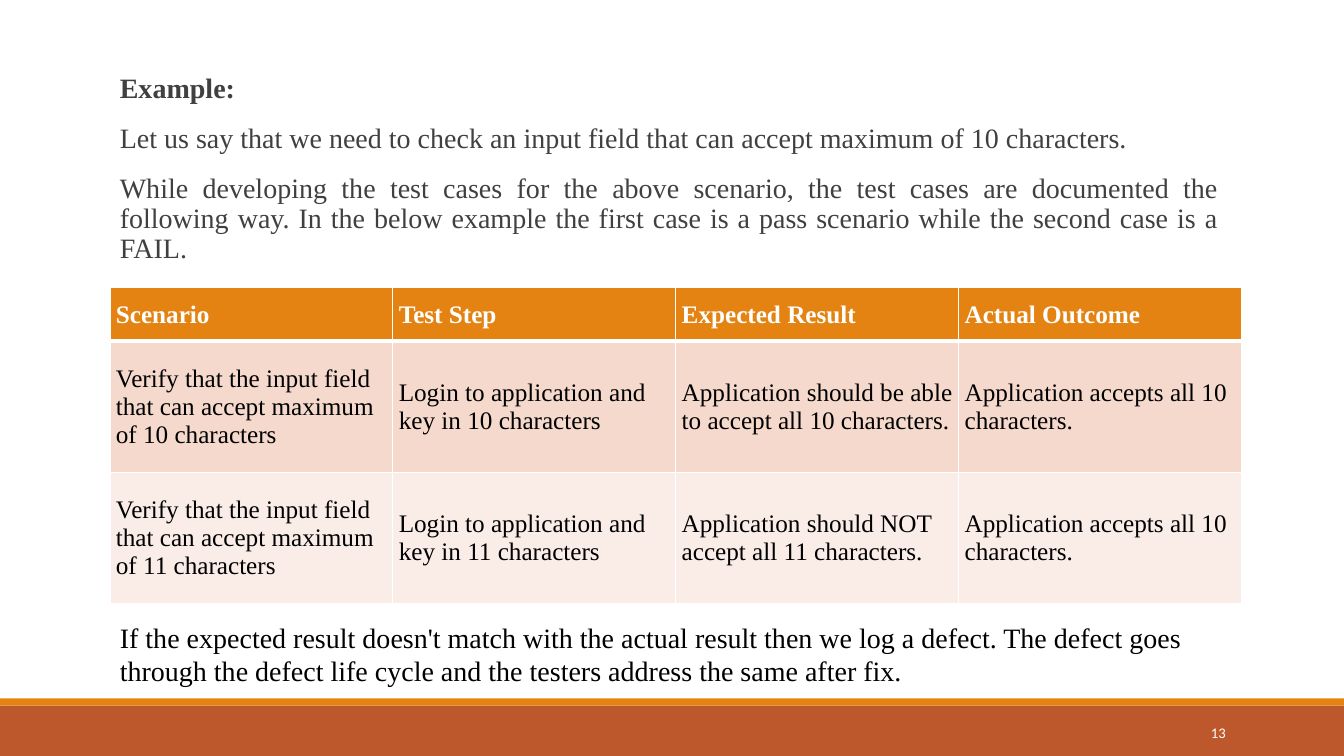
from dataclasses import dataclass

from lxml.etree import SubElement
from pptx import Presentation
from pptx.dml.color import RGBColor
from pptx.enum.shapes import MSO_SHAPE
from pptx.enum.text import MSO_ANCHOR, PP_ALIGN
from pptx.oxml.ns import qn
from pptx.util import Cm, Pt

COLORS = {
    "white": "FFFFFF", "black": "000000", "gray": "404040",
    "orange": "E48312", "rust": "BD582C", "rose": "F5D9CC", "blush": "FAEDE7",
}
SERIF = "Times New Roman"
LEFT = 2.77
WIDE, HIGH = 33.87, 19.05


@dataclass
class Box:
    """Place and size in centimetres."""
    left: float
    top: float
    width: float
    height: float

    def cm(self) -> tuple:
        return Cm(self.left), Cm(self.top), Cm(self.width), Cm(self.height)


@dataclass
class Style:
    size: float
    color: str
    bold: bool = False
    font: str = SERIF


@dataclass
class Row:
    height: float
    fill: str
    style: Style
    top: float
    bottom: float
    texts: list[str]


def rgb(name: str) -> RGBColor:
    return RGBColor.from_string(COLORS[name])


def add_run(para, text: str, style: Style) -> None:
    run = para.add_run()
    run.text = text
    run.font.name = style.font
    run.font.size = Pt(style.size)
    run.font.bold = style.bold
    run.font.color.rgb = rgb(style.color)


def add_bar(slide, box: Box, color: str) -> None:
    bar = slide.shapes.add_shape(MSO_SHAPE.RECTANGLE, *box.cm())
    bar.shadow.inherit = False
    bar.fill.solid()
    bar.fill.fore_color.rgb = rgb(color)
    bar.line.fill.background()


def add_frame(slide, box: Box):
    frame = slide.shapes.add_textbox(*box.cm()).text_frame
    frame.word_wrap = True
    return frame


def set_edges(cell, row: Row) -> None:
    """Draw white borders on the four sides of a cell."""
    props = cell._tc.get_or_add_tcPr()
    for side, width in zip("LRTB", (1, 1, row.top, row.bottom)):
        line = SubElement(props, qn(f"a:ln{side}"), w=str(Pt(width)))
        fill = SubElement(line, qn("a:solidFill"))
        SubElement(fill, qn("a:srgbClr"), val=COLORS["white"])


def add_grid(slide, box: Box, rows: list[Row]) -> None:
    count = len(rows[0].texts)
    table = slide.shapes.add_table(len(rows), count, *box.cm()).table
    for col in table.columns:
        col.width = Cm(box.width / count)
    for i, row in enumerate(rows):
        table.rows[i].height = Cm(row.height)
        for j, text in enumerate(row.texts):
            cell = table.cell(i, j)
            set_edges(cell, row)
            cell.fill.solid()
            cell.fill.fore_color.rgb = rgb(row.fill)
            cell.vertical_anchor = MSO_ANCHOR.MIDDLE
            cell.margin_left = cell.margin_right = Cm(0.15)
            cell.margin_top = cell.margin_bottom = Cm(0.15)
            add_run(cell.text_frame.paragraphs[0], text, row.style)


def add_intro(slide) -> None:
    plain = Style(20, "gray")
    lines = [
        ("Example:", Style(20, "gray", True)),
        ("Let us say that we need to check an input field that can accept "
         "maximum of 10 characters.", plain),
        ("While developing the test cases for the above scenario, the test "
         "cases are documented the following way. In the below example the "
         "first case is a pass scenario while the second case is a FAIL.", plain),
    ]
    frame = add_frame(slide, Box(LEFT, 1.75, 27.94, 5.1))
    frame.margin_left, frame.margin_right = Cm(0.25), 0
    for i, (text, style) in enumerate(lines):
        para = frame.add_paragraph() if i else frame.paragraphs[0]
        para.alignment = PP_ALIGN.JUSTIFY
        para.line_spacing = 0.9
        para.space_before = Pt(12 if i else 0)
        para.space_after = Pt(2)
        add_run(para, text, style)


def add_cases(slide) -> None:
    head, body = Style(18, "white", True), Style(18, "black")
    rows = [
        Row(1.35, "orange", head, 1, 3,
            ["Scenario", "Test Step", "Expected Result", "Actual Outcome"]),
        Row(3.3, "rose", body, 3, 1,
            ["Verify that the input field that can accept maximum of 10 characters",
             "Login to application and key in 10 characters",
             "Application should be able to accept all 10 characters.",
             "Application accepts all 10 characters."]),
        Row(3.3, "blush", body, 1, 1,
            ["Verify that the input field that can accept maximum of 11 characters",
             "Login to application and key in 11 characters",
             "Application should NOT accept all 11 characters.",
             "Application accepts all 10 characters."]),
    ]
    add_grid(slide, Box(LEFT, 7.25, 28.52, 7.95), rows)


def add_close(slide) -> None:
    frame = add_frame(slide, Box(LEFT, 15.5, 29.11, 1.96))
    add_run(frame.paragraphs[0],
            "If the expected result doesn't match with the actual result then "
            "we log a defect. The defect goes through the defect life cycle "
            "and the testers address the same after fix.", Style(20, "black"))


def add_foot(slide) -> None:
    add_bar(slide, Box(0, 17.78, WIDE, 1.27), "rust")
    add_bar(slide, Box(0, 17.6, WIDE, 0.18), "orange")
    frame = add_frame(slide, Box(27.51, 17.94, 3.63, 1.02))
    frame.vertical_anchor = MSO_ANCHOR.MIDDLE
    para = frame.paragraphs[0]
    para.alignment = PP_ALIGN.RIGHT
    add_run(para, "13", Style(10.5, "white", font="Calibri"))


def main() -> None:
    deck = Presentation()
    deck.slide_width, deck.slide_height = Cm(WIDE), Cm(HIGH)
    slide = deck.slides.add_slide(deck.slide_layouts[6])
    add_foot(slide)
    add_intro(slide)
    add_cases(slide)
    add_close(slide)
    deck.save("out.pptx")


if __name__ == "__main__":
    main()
